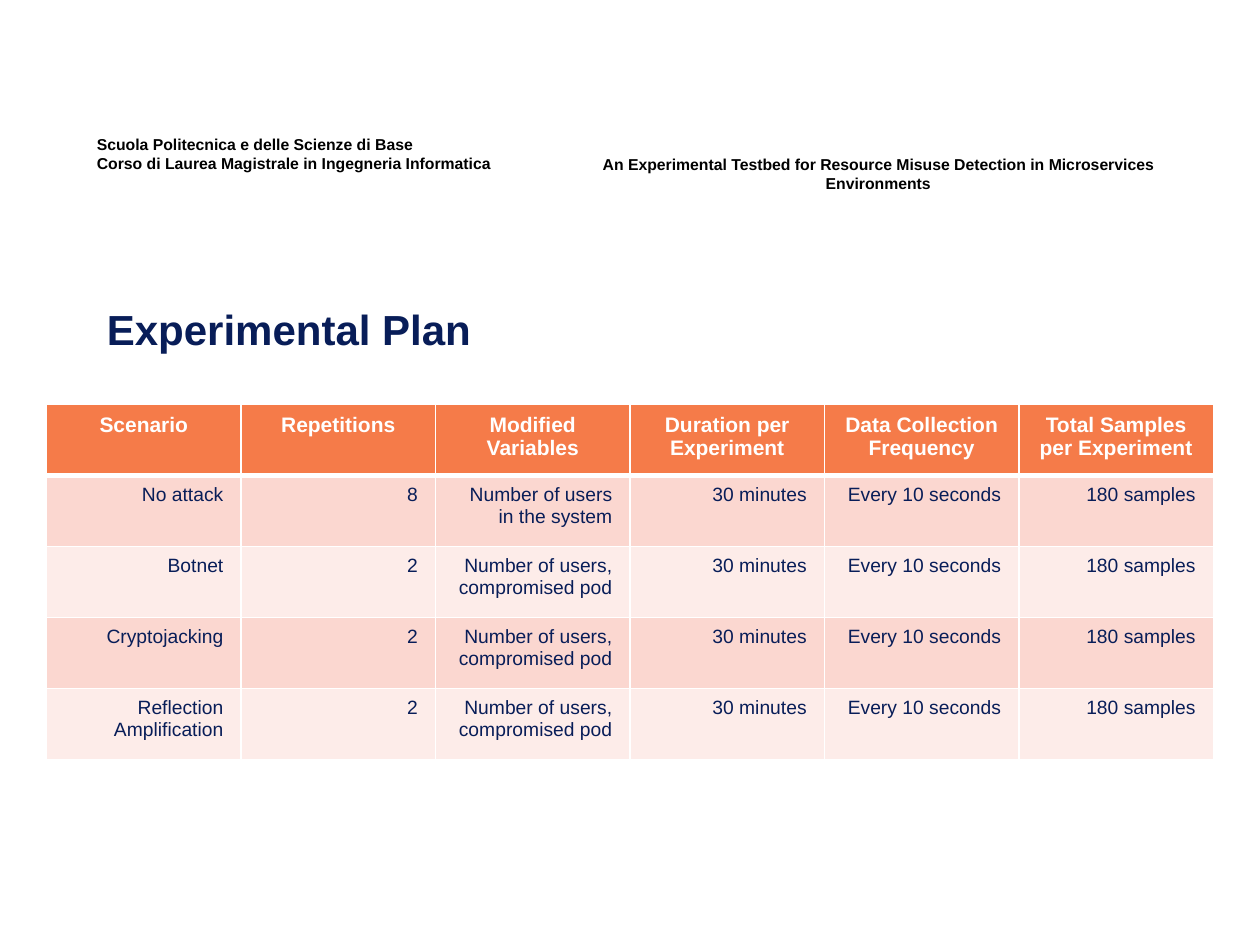
from dataclasses import dataclass

from lxml.etree import SubElement
from pptx import Presentation
from pptx.dml.color import RGBColor
from pptx.enum.text import MSO_ANCHOR, PP_ALIGN
from pptx.oxml.ns import qn
from pptx.util import Inches, Pt


@dataclass(frozen=True)
class Theme:
    font: str = "Arial"
    black: str = "000000"
    white: str = "FFFFFF"
    navy: str = "081D58"
    orange: str = "F57B49"
    bands: tuple = ("FBD7D0", "FDECE9")
    caption_size: int = 9
    body_size: int = 11
    header_size: int = 12
    title_size: int = 24
    thin_line: int = 1
    thick_line: int = 3


class PlanSlide:
    """Draws styled text and tables on the current page."""

    def __init__(self, page, theme):
        self.page = page
        self.theme = theme

    def fill_text(self, frame, text, size, color, bold=True, align=PP_ALIGN.LEFT):
        frame.text = text
        for paragraph in frame.paragraphs:
            paragraph.alignment = align
            for span in paragraph.runs:
                span.font.name = self.theme.font
                span.font.size = Pt(size)
                span.font.bold = bold
                span.font.color.rgb = RGBColor.from_string(color)

    def text(self, text, place, size, color, align=PP_ALIGN.LEFT, anchor=MSO_ANCHOR.TOP):
        box = self.page.shapes.add_textbox(*map(Inches, place))
        frame = box.text_frame
        frame.word_wrap = True
        frame.vertical_anchor = anchor
        self.fill_text(frame, text, size, color, align=align)

    def borders(self, cell, **widths):
        properties = cell._tc.get_or_add_tcPr()
        for side in "LRTB":
            width = widths.get(side, self.theme.thin_line)
            line = SubElement(properties, qn(f"a:ln{side}"), w=str(Pt(width)))
            fill = SubElement(line, qn("a:solidFill"))
            SubElement(fill, qn("a:srgbClr"), val=self.theme.white)

    def cell(self, cell, text, row):
        theme = self.theme
        cell.margin_left = cell.margin_right = Inches(0.14)
        cell.margin_top = cell.margin_bottom = Inches(0.07)
        if row == 0:
            self.fill_text(cell.text_frame, text, theme.header_size, theme.white, align=PP_ALIGN.CENTER)
            self.borders(cell, B=theme.thick_line)
            color = theme.orange
        else:
            self.fill_text(cell.text_frame, text, theme.body_size, theme.navy, False, PP_ALIGN.RIGHT)
            self.borders(cell, T=theme.thick_line if row == 1 else theme.thin_line)
            color = theme.bands[(row - 1) % 2]
        cell.fill.solid()
        cell.fill.fore_color.rgb = RGBColor.from_string(color)

    def table(self, rows, place):
        frame = self.page.shapes.add_table(len(rows), len(rows[0]), *map(Inches, place))
        for row, values in enumerate(rows):
            for column, value in enumerate(values):
                self.cell(frame.table.cell(row, column), value, row)


def main():
    deck = Presentation()
    deck.slide_width, deck.slide_height = Inches(10), Inches(7.5)
    theme = Theme()
    slide = PlanSlide(deck.slides.add_slide(deck.slide_layouts[6]), theme)

    slide.text(
        "An Experimental Testbed for Resource Misuse Detection in Microservices Environments",
        (4.53, 1.18, 4.88, 0.4), theme.caption_size, theme.black, PP_ALIGN.CENTER,
    )
    slide.text(
        "Scuola Politecnica e delle Scienze di Base\n"
        "Corso di Laurea Magistrale in Ingegneria Informatica",
        (0.67, 1.02, 4.17, 0.4), theme.caption_size, theme.black,
    )

    headers = (
        "Scenario", "Repetitions", "Modified Variables", "Duration per Experiment",
        "Data Collection Frequency", "Total Samples per Experiment",
    )
    scenarios = (
        ("No attack", "8", "Number of users in the system"),
        ("Botnet", "2", "Number of users, compromised pod"),
        ("Cryptojacking", "2", "Number of users, compromised pod"),
        ("Reflection\nAmplification", "2", "Number of users, compromised pod"),
    )
    sampling = ("30 minutes", "Every 10 seconds", "180 samples")
    rows = [headers] + [scenario + sampling for scenario in scenarios]
    slide.table(rows, (0.37, 3.21, 9.26, 2.82))

    slide.text(
        "Experimental Plan", (0.75, 2.33, 8.5, 0.55),
        theme.title_size, theme.navy, anchor=MSO_ANCHOR.MIDDLE,
    )
    deck.save("out.pptx")


if __name__ == "__main__":
    main()
